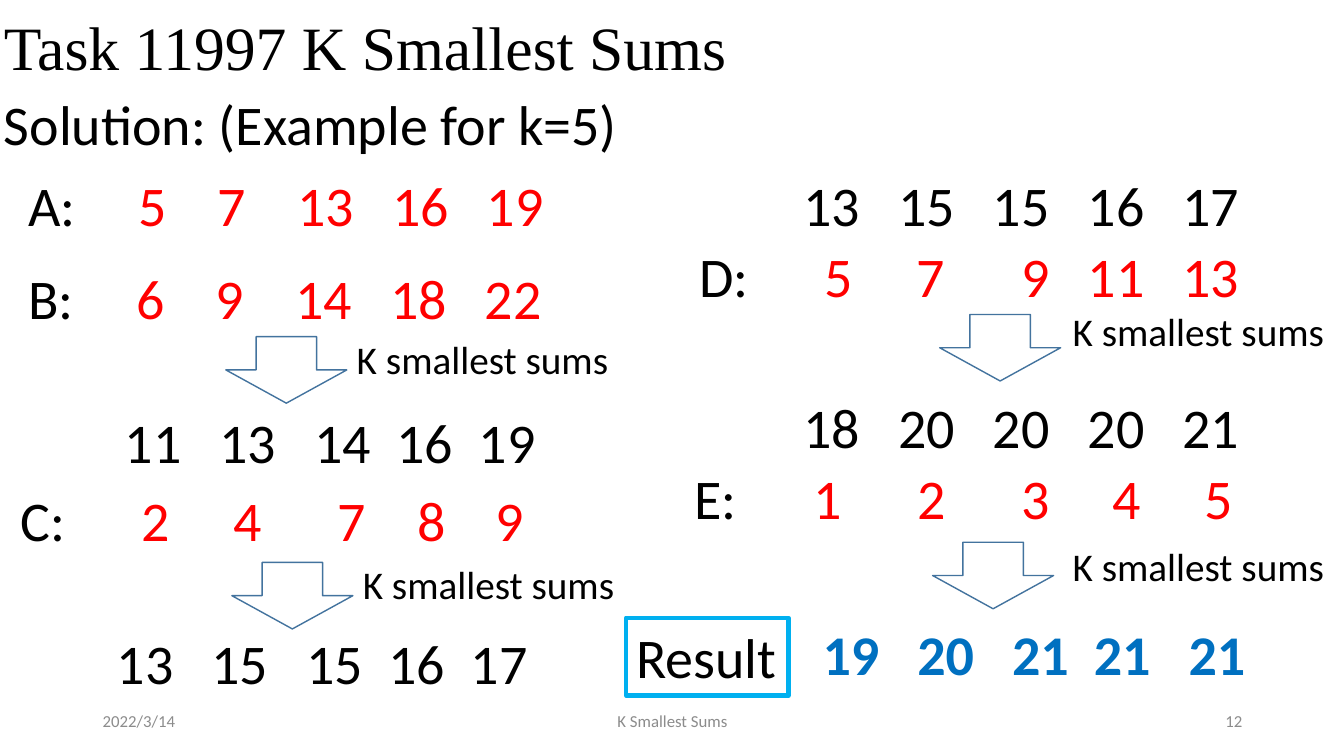
import pptx
import pptx.dml.color
import pptx.enum.shapes
import pptx.enum.text
import pptx.oxml
import pptx.oxml.ns
import pptx.util
from pptx.util import Inches

COLORS = {
    "black": "000000",
    "red": "FF0000",
    "blue": "0070C0",
    "grey": "8C8C8C",
    "arrow": "43739E",
    "frame": "00B0F0",
}
ALIGN = pptx.enum.text.PP_ALIGN
ANCHOR = pptx.enum.text.MSO_ANCHOR
SHAPE = pptx.enum.shapes.MSO_SHAPE


class SlideBuilder:
    """Adds styled text, number rows and outlined shapes to one slide."""

    def __init__(self, slide):
        self.slide = slide
        self.font = "Calibri"
        self.size = 40
        self.inset = 0.1

    def color(self, name):
        return pptx.dml.color.RGBColor.from_string(COLORS[name])

    def style(self, para, size, color="black", font=None):
        para.font.name = font or self.font
        para.font.size = pptx.util.Pt(size)
        para.font.color.rgb = self.color(color)

    def text(self, left, top, width, height, words, size=40, color="black",
             font=None, align=ALIGN.LEFT, anchor=ANCHOR.TOP):
        box = self.slide.shapes.add_textbox(
            Inches(left), Inches(top), Inches(width), Inches(height))
        box.text_frame.word_wrap = True
        box.text_frame.vertical_anchor = anchor
        para = box.text_frame.paragraphs[0]
        para.alignment = align
        para.add_run().text = words
        self.style(para, size, color, font)
        return para

    def row(self, left, top, label, numbers, starts, color="black", bold=False):
        para = self.text(left, top, 6.15, 0.77, label)
        span = para.add_run()
        span.text = "".join(f"\t{number}" for number in numbers)
        span.font.color.rgb = self.color(color)
        span.font.bold = bold
        tabs = pptx.oxml.parse_xml(
            f"<a:tabLst {pptx.oxml.ns.nsdecls('a')}/>")
        for start in starts:
            tab = tabs.makeelement(pptx.oxml.ns.qn("a:tab"))
            tab.set("pos", str(Inches(start - left - self.inset)))
            tab.set("algn", "l")
            tabs.append(tab)
        para._p.get_or_add_pPr().insert(0, tabs)

    def outline(self, kind, left, top, width, height, color, weight):
        shape = self.slide.shapes.add_shape(
            kind, Inches(left), Inches(top), Inches(width), Inches(height))
        shape.shadow.inherit = False
        shape.fill.background()
        shape.line.color.rgb = self.color(color)
        shape.line.width = pptx.util.Pt(weight)
        return shape

    def step(self, arrow_left, arrow_top, label_left, label_top):
        self.outline(SHAPE.DOWN_ARROW, arrow_left, arrow_top, 1.2, 0.66, "arrow", 1)
        self.text(label_left, label_top, 2.97, 0.57, "K smallest sums", size=28)

    def frame(self, left, top, width, height, words):
        shape = self.outline(SHAPE.RECTANGLE, left, top, width, height, "frame", 3.25)
        shape.text_frame.vertical_anchor = ANCHOR.TOP
        para = shape.text_frame.paragraphs[0]
        para.alignment = ALIGN.LEFT
        para.add_run().text = words
        self.style(para, self.size)


def main():
    deck = pptx.Presentation()
    deck.slide_width = Inches(13.33)
    deck.slide_height = Inches(7.5)
    page = SlideBuilder(deck.slides.add_slide(deck.slide_layouts[6]))

    for left, width, words, align in [
        (0.92, 3, "2022/3/14", ALIGN.LEFT),
        (4.42, 4.5, "K Smallest Sums", ALIGN.CENTER),
        (9.42, 3, "12", ALIGN.RIGHT),
    ]:
        page.text(left, 6.95, width, 0.4, words, size=12, color="grey",
                  align=align, anchor=ANCHOR.MIDDLE)

    title = page.text(-0.06, 0.12, 11.5, 1.04, "Task 11997 K Smallest Sums",
                      size=44, font="Times New Roman")
    title.line_spacing = 0.9
    page.text(-0.06, 0.84, 6.57, 0.77, "Solution: (Example for k=5)")

    sums_right = [7.97, 8.91, 9.85, 10.79, 11.73]
    for left, top, label, numbers, starts, color in [
        (0.18, 1.64, "A:", [5, 7, 13, 16, 19], [1.38, 2.16, 2.95, 3.89, 4.83], "red"),
        (0.18, 2.57, "B:", [6, 9, 14, 18, 22], [1.36, 2.14, 2.93, 3.87, 4.81], "red"),
        (0.26, 3.99, "", [11, 13, 14, 16, 19], [1.24, 2.18, 3.12, 3.93, 4.75], "black"),
        (0.11, 4.77, "C:", [2, 4, 7, 8, 9], [1.41, 2.32, 3.35, 4.14, 4.92], "red"),
        (0.18, 6.19, "", [13, 15, 15, 16, 17], [1.16, 2.1, 3.04, 3.85, 4.67], "black"),
        (6.99, 1.64, "", [13, 15, 15, 16, 17], sums_right, "black"),
        (6.84, 2.35, "D:", [5, 7, 9, 11, 13], [8.18, 9.09, 10.13, 10.79, 11.73], "red"),
        (6.99, 3.84, "", [18, 20, 20, 20, 21], sums_right, "black"),
        (6.79, 4.55, "E:", [1, 2, 3, 4, 5], [8.07, 9.1, 10.13, 11.04, 11.95], "red"),
    ]:
        page.row(left, top, label, numbers, starts, color)

    for arrow_left, arrow_top, label_left, label_top in [
        (2.24, 3.34, 3.44, 3.28),
        (2.3, 5.58, 3.5, 5.51),
        (9.32, 3.12, 10.54, 3),
        (9.25, 5.38, 10.54, 5.33),
    ]:
        page.step(arrow_left, arrow_top, label_left, label_top)

    page.row(7.18, 6.1, "", [19, 20, 21, 21, 21],
             [8.16, 9.1, 10.04, 10.85, 11.79], "blue", bold=True)
    page.frame(6.21, 6.13, 1.61, 0.77, "Result")

    deck.save("out.pptx")


if __name__ == "__main__":
    main()
